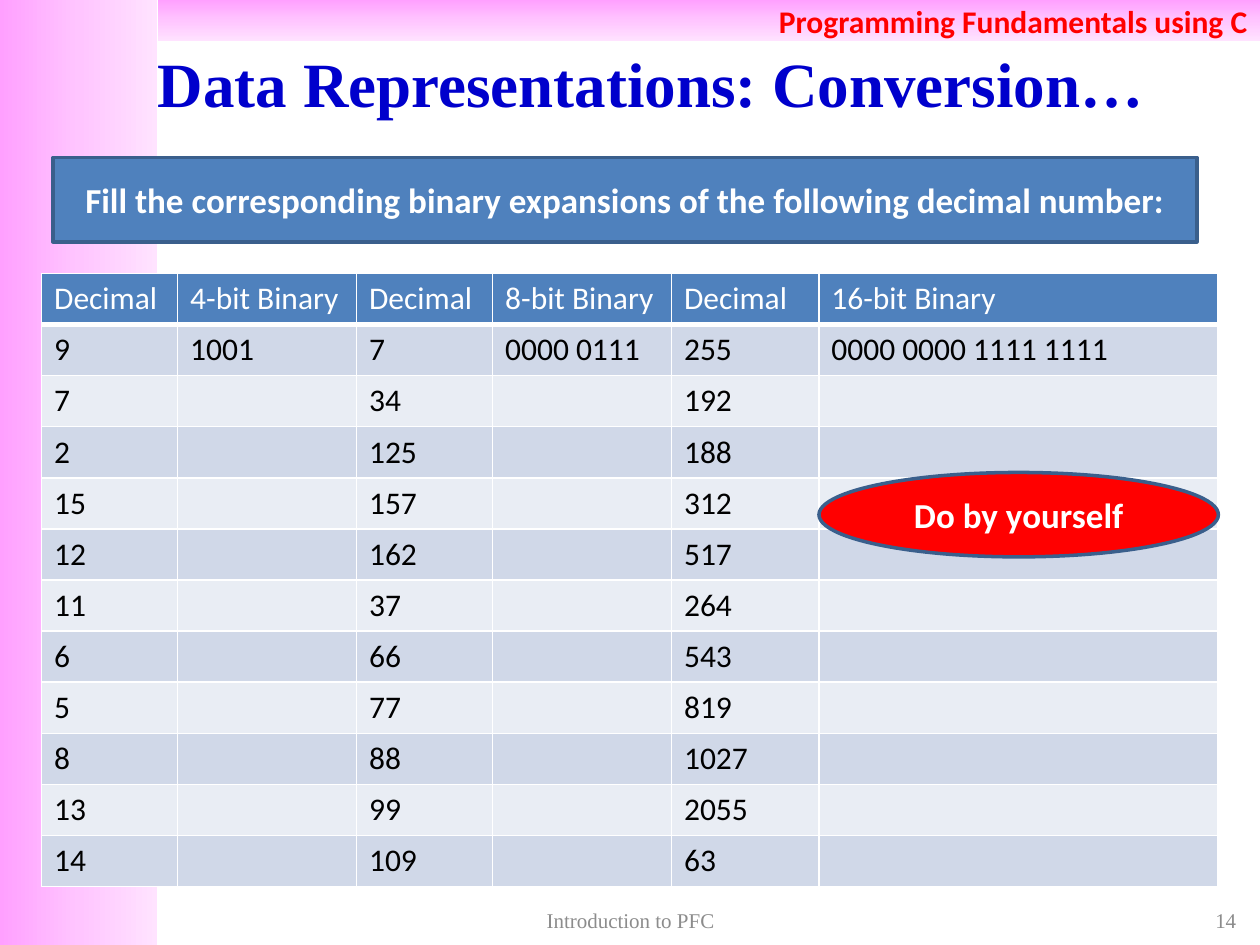
"""Build the decimal to binary conversion exercise slide."""
from copy import deepcopy
from dataclasses import dataclass

from lxml import etree
from pptx import Presentation
from pptx import util as u
from pptx.dml import color
from pptx.enum import shapes, text
from pptx.oxml import ns


@dataclass(frozen=True)
class Theme:
    """Colours, fonts and type sizes of the slide."""
    gradient: tuple = ("FFA0FF", "FFC5FF", "FFE3FF")
    red: str = "FF0000"
    title: str = "0000CC"
    blue: str = "4F81BD"
    outline: str = "3A5F8C"
    bands: tuple = ("D0D8E8", "E9EDF4")
    white: str = "FFFFFF"
    black: str = "000000"
    grey: str = "8C8C8C"
    sans: str = "Calibri"
    serif: str = "Times New Roman"
    title_size: int = 36
    callout_size: int = 20
    body_size: int = 18
    footer_size: int = 12


THEME = Theme()
ALIGN = text.PP_ALIGN
SHAPE = shapes.MSO_SHAPE

HEADINGS = ("Decimal", "4-bit Binary", "Decimal", "8-bit Binary", "Decimal", "16-bit Binary")
EXAMPLE = ("9", "1001", "7", "0000 0111", "255", "0000 0000 1111 1111")
EXERCISES = (
    (7, 34, 192), (2, 125, 188), (15, 157, 312), (12, 162, 517),
    (11, 37, 264), (6, 66, 543), (5, 77, 819), (8, 88, 1027),
    (13, 99, 2055), (14, 109, 63),
)
COLUMN_WIDTHS = (1.08, 1.42, 1.08, 1.42, 1.17, 3.17)


def rgb(value):
    """Turn a hex string into a colour."""
    return color.RGBColor.from_string(value)


def inches(box):
    """Convert left, top, width and height to lengths."""
    return [u.Inches(value) for value in box]


def write(frame, content, *, size, ink, font=THEME.sans, bold=False, align=ALIGN.LEFT):
    """Put one formatted paragraph into a text frame."""
    paragraph = frame.paragraphs[0]
    paragraph.alignment = align
    run = paragraph.add_run()
    run.text = content
    run.font.name = font
    run.font.size = u.Pt(size)
    run.font.bold = bold
    run.font.color.rgb = rgb(ink)


def add_label(slide, box, content, **style):
    """Add a wrapped, vertically centred text box."""
    frame = slide.shapes.add_textbox(*inches(box)).text_frame
    frame.word_wrap = True
    frame.vertical_anchor = text.MSO_ANCHOR.MIDDLE
    write(frame, content, **style)


def add_gradient_bar(slide, box, angle):
    """Add a borderless bar with the three-stop pink gradient."""
    bar = slide.shapes.add_shape(SHAPE.RECTANGLE, *inches(box))
    bar.shadow.inherit = False
    bar.line.fill.background()
    bar.fill.gradient()
    bar.fill.gradient_angle = angle
    first = bar.fill._fill._gradFill.find(ns.qn("a:gsLst"))[0]
    first.addnext(deepcopy(first))
    for stop, ink, position in zip(bar.fill.gradient_stops, THEME.gradient, (0, 0.5, 1)):
        stop.color.rgb = rgb(ink)
        stop.position = position
    return bar


def add_background(slide, side_box, header_box):
    """Add the side bar and the course header bar."""
    add_gradient_bar(slide, side_box, 0)
    header = add_gradient_bar(slide, header_box, 270)
    header.text_frame.vertical_anchor = text.MSO_ANCHOR.MIDDLE
    write(header.text_frame, "Programming Fundamentals using C", size=THEME.body_size,
          ink=THEME.red, bold=True, align=ALIGN.RIGHT)


def add_callout(slide, kind, box, content, fill):
    """Add an outlined shape with bold white text."""
    shape = slide.shapes.add_shape(kind, *inches(box))
    shape.shadow.inherit = False
    shape.fill.solid()
    shape.fill.fore_color.rgb = rgb(fill)
    shape.line.color.rgb = rgb(THEME.outline)
    shape.line.width = u.Pt(2)
    shape.text_frame.word_wrap = True
    shape.text_frame.vertical_anchor = text.MSO_ANCHOR.MIDDLE
    write(shape.text_frame, content, size=THEME.callout_size, ink=THEME.white,
          bold=True, align=ALIGN.CENTER)


def set_borders(cell, **widths):
    """Draw white cell borders with the given widths in points."""
    properties = cell._tc.get_or_add_tcPr()
    for index, side in enumerate(("lnL", "lnR", "lnT", "lnB")):
        line = etree.Element(ns.qn(f"a:{side}"), w=str(u.Pt(widths.get(side, 1))))
        fill = etree.SubElement(line, ns.qn("a:solidFill"))
        etree.SubElement(fill, ns.qn("a:srgbClr"), val=THEME.white)
        properties.insert(index, line)


def add_conversion_table(slide, box):
    """Add the table of decimals with blank binary columns."""
    exercises = [[part for number in row for part in (str(number), "")] for row in EXERCISES]
    rows = [HEADINGS, EXAMPLE, *exercises]
    table = slide.shapes.add_table(len(rows), len(HEADINGS), *inches(box)).table
    for column, width in zip(table.columns, COLUMN_WIDTHS):
        column.width = u.Inches(width)
    for row_index, values in enumerate(rows):
        table.rows[row_index].height = u.Inches(box[3] / len(rows))
        is_header = row_index == 0
        fill = THEME.blue if is_header else THEME.bands[(row_index - 1) % 2]
        for column_index, value in enumerate(values):
            cell = table.cell(row_index, column_index)
            cell.fill.solid()
            cell.fill.fore_color.rgb = rgb(fill)
            set_borders(cell, lnB=3 if is_header else 1, lnT=3 if row_index == 1 else 1)
            if value:
                write(cell.text_frame, value, size=THEME.body_size,
                      ink=THEME.white if is_header else THEME.black)


def add_footer(slide, centre_box, number_box):
    """Add the footer text and the slide number."""
    style = dict(size=THEME.footer_size, ink=THEME.grey, font=THEME.serif)
    add_label(slide, number_box, "14", align=ALIGN.RIGHT, **style)
    add_label(slide, centre_box, "Introduction to PFC", align=ALIGN.CENTER, **style)


def main():
    """Build and save the presentation."""
    presentation = Presentation()
    presentation.slide_width = u.Inches(10)
    presentation.slide_height = u.Inches(7.5)
    slide = presentation.slides.add_slide(presentation.slide_layouts[6])
    add_background(slide, (0, 0, 1.25, 7.5), (1.25, 0, 8.75, 0.33))
    add_label(slide, (0.83, 0.3, 8.67, 0.7), "Data Representations: Conversion…",
              size=THEME.title_size, ink=THEME.title, font=THEME.serif, bold=True,
              align=ALIGN.CENTER)
    add_footer(slide, (3.42, 7.17, 3.17, 0.27), (7.58, 7.17, 2.33, 0.27))
    add_conversion_table(slide, (0.33, 2.17, 9.33, 4.87))
    add_callout(slide, SHAPE.RECTANGLE, (0.42, 1.25, 9.08, 0.67),
                "Fill the corresponding binary expansions of the following decimal number:",
                THEME.blue)
    add_callout(slide, SHAPE.OVAL, (6.5, 3.75, 3.17, 0.67), "Do by yourself", THEME.red)
    presentation.save("out.pptx")


if __name__ == "__main__":
    main()
